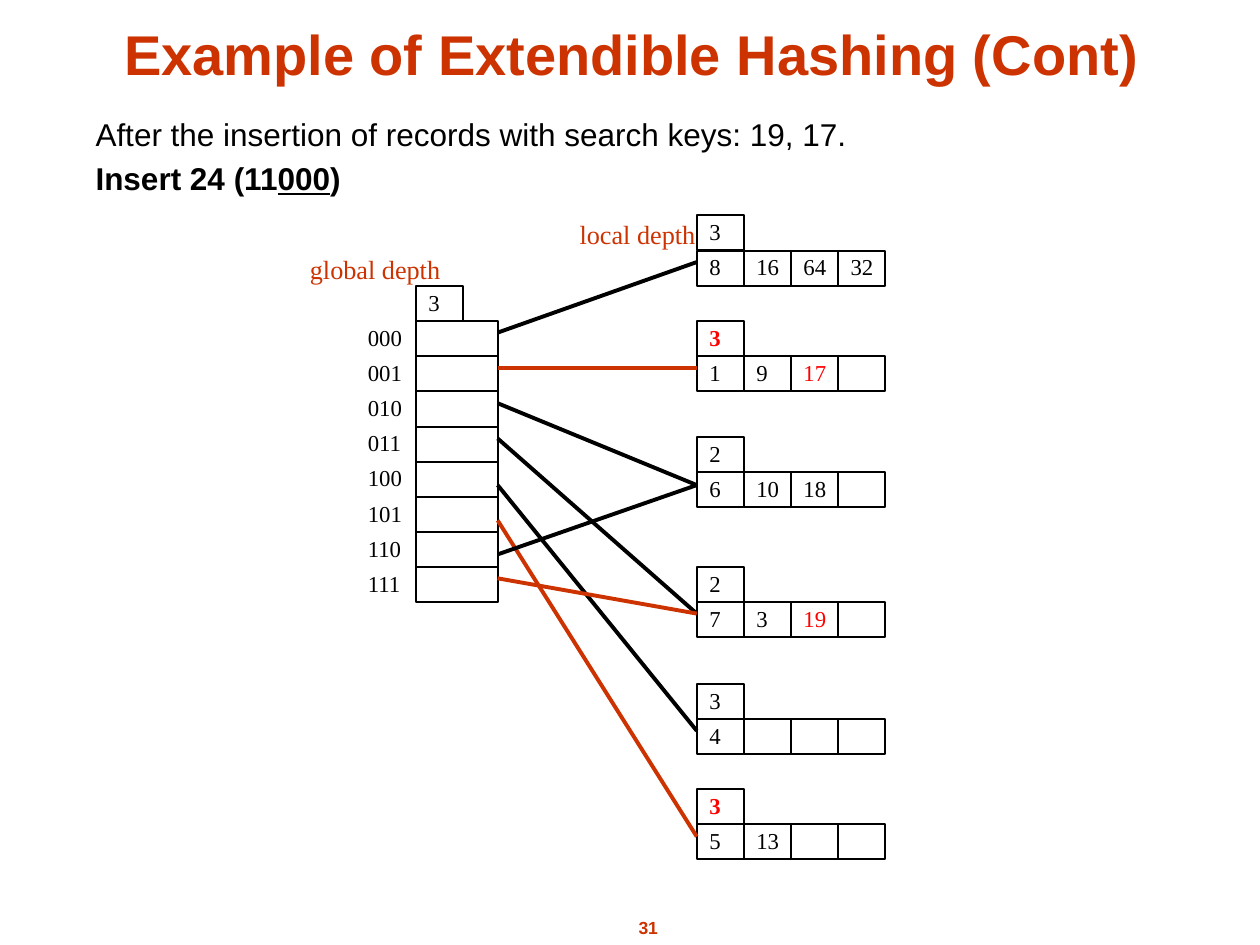
"""Build the slide on extendible hashing: a directory, its buckets and links."""
from lxml import etree
from pptx import Presentation
from pptx import util as u
from pptx.dml.color import RGBColor
from pptx.enum import shapes, text
from pptx.oxml.ns import qn

BLACK = RGBColor(0, 0, 0)
WHITE = RGBColor(255, 255, 255)
RUST = RGBColor(0xCC, 0x33, 0)
RED = RGBColor(255, 0, 0)
SANS, SERIF = "Arial", "Times New Roman"

ROW = 1.95 / 7
COL = 1.12 / 3
DIR_X, DIR_Y, DIR_W = 3.3, 2.55, 0.65
PAGE_X = 5.53

BUCKETS = [
    (1.71, "3", ["8", "16", "64", "32"]),
    (2.55, "3", ["1", "9", "17", ""]),
    (3.47, "2", ["6", "10", "18", ""]),
    (4.5, "2", ["7", "3", "19", ""]),
    (5.43, "3", ["4", "", "", ""]),
    (6.26, "3", ["5", "13", "", ""]),
]
FRESH = {"17", "19"}
SPLIT = {1, 5}
LINKS = [
    (2.64, 2.08, BLACK), (2.92, 2.92, RUST), (3.2, 3.85, BLACK),
    (3.48, 4.87, BLACK), (3.85, 5.8, BLACK), (4.13, 6.64, RUST),
    (4.4, 3.85, BLACK), (4.59, 4.87, RUST),
]


def place(shape, x, y, w, h):
    """Set the position and size of a shape in inches."""
    shape.left, shape.top = u.Inches(x), u.Inches(y)
    shape.width, shape.height = u.Inches(w), u.Inches(h)


def style(font, name, size, color, bold=False):
    """Set the face, size, colour and weight of a font."""
    font.name, font.size, font.bold = name, u.Pt(size), bold
    font.color.rgb = color


def label(slide, words, x, y, w, size=13, color=BLACK, bold=False):
    """Add a one-line serif label without margins."""
    h = 0.22 if size == 13 else 0.25
    box = slide.shapes.add_textbox(*map(u.Inches, (x, y, w, h)))
    frame = box.text_frame
    frame.margin_left = frame.margin_right = 0
    frame.margin_top = frame.margin_bottom = 0
    frame.word_wrap = False
    frame.auto_size = text.MSO_AUTO_SIZE.SHAPE_TO_FIT_TEXT
    para = frame.paragraphs[0]
    para.text = words
    style(para.font, SERIF, size, color, bold)


def cell(slide, x, y, w, words="", color=BLACK, bold=False):
    """Add an outlined cell and the value in it."""
    box = slide.shapes.add_shape(
        shapes.MSO_SHAPE.RECTANGLE, *map(u.Inches, (x, y, w, ROW)))
    box.shadow.inherit = False
    box.fill.solid()
    box.fill.fore_color.rgb = WHITE
    box.line.color.rgb = BLACK
    box.line.width = u.Pt(1.13)
    if words:
        label(slide, words, x + 0.1, y + 0.02, 0.09 * len(words),
              color=color, bold=bold)


def link(slide, start, end, color):
    """Draw a line from the directory to a bucket."""
    line = slide.shapes.add_connector(
        shapes.MSO_CONNECTOR.STRAIGHT,
        *map(u.Inches, (DIR_X + DIR_W, start, PAGE_X, end)))
    line.line.color.rgb = color
    line.line.width = u.Pt(2.25)
    etree.SubElement(line._element.spPr, qn("a:effectLst"))


def heading(slide):
    """Fill and format the title."""
    title = slide.shapes.title
    place(title, 0.6, 0.07, 8.83, 0.67)
    frame = title.text_frame
    frame.text = "Example of Extendible Hashing (Cont)"
    frame.vertical_anchor = text.MSO_ANCHOR.BOTTOM
    para = frame.paragraphs[0]
    para.alignment = text.PP_ALIGN.CENTER
    style(para.font, SANS, 32, RUST, True)


def intro(slide):
    """Add the two lines that describe the insertion."""
    box = slide.shapes.add_textbox(*map(u.Inches, (0.66, 0.92, 8.58, 0.74)))
    frame = box.text_frame
    frame.word_wrap = True
    first, second = frame.paragraphs[0], frame.add_paragraph()
    first.text = "After the insertion of records with search keys: 19, 17."
    for words in ("Insert 24 (11", "000", ")"):
        run = second.add_run()
        run.text = words
        run.font.underline = words == "000"
    second.space_before = u.Pt(7.9)
    for para in (first, second):
        para.line_spacing = 0.8
        style(para.font, SANS, 18, BLACK, para is second)


def number(slide):
    """Add the page number."""
    box = slide.shapes.add_textbox(*map(u.Inches, (4.71, 7.23, 0.87, 0.27)))
    para = box.text_frame.paragraphs[0]
    para.text = "31"
    para.alignment = text.PP_ALIGN.CENTER
    style(para.font, SANS, 10, RUST, True)


def index(slide):
    """Draw the directory with its global depth."""
    label(slide, "global depth", 2.46, 2.01, 1.04, 15, RUST)
    cell(slide, DIR_X, DIR_Y - ROW, COL, "3")
    for i in range(8):
        y = DIR_Y + i * ROW
        cell(slide, DIR_X, y, DIR_W)
        label(slide, f"{i:03b}", 2.92, y + 0.02, 0.27)


def bucket(slide, y, depth, keys, split):
    """Draw a bucket with its local depth."""
    cell(slide, PAGE_X, y, COL, depth, RED if split else BLACK, split)
    for i, key in enumerate(keys):
        cell(slide, PAGE_X + i * COL, y + ROW, COL, key,
             RED if key in FRESH else BLACK)


def main():
    """Build and save the slide."""
    deck = Presentation()
    deck.slide_width, deck.slide_height = u.Inches(10), u.Inches(7.5)
    slide = deck.slides.add_slide(deck.slide_layouts[5])
    heading(slide)
    intro(slide)
    index(slide)
    label(slide, "local depth", 4.6, 1.73, 0.92, 15, RUST)
    for i, (y, depth, keys) in enumerate(BUCKETS):
        bucket(slide, y, depth, keys, i in SPLIT)
    for start, end, color in LINKS:
        link(slide, start, end, color)
    number(slide)
    deck.save("out.pptx")


if __name__ == "__main__":
    main()
